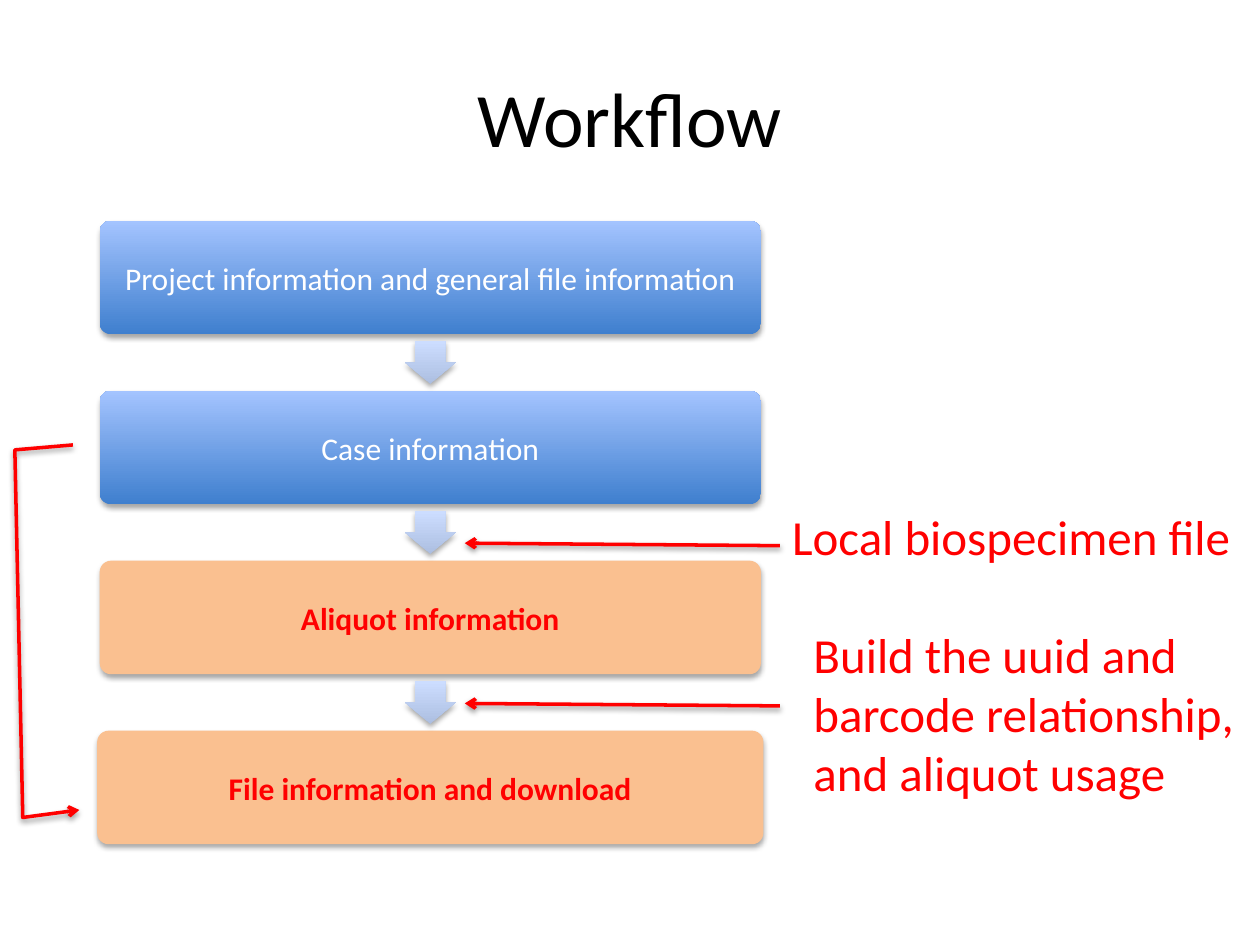
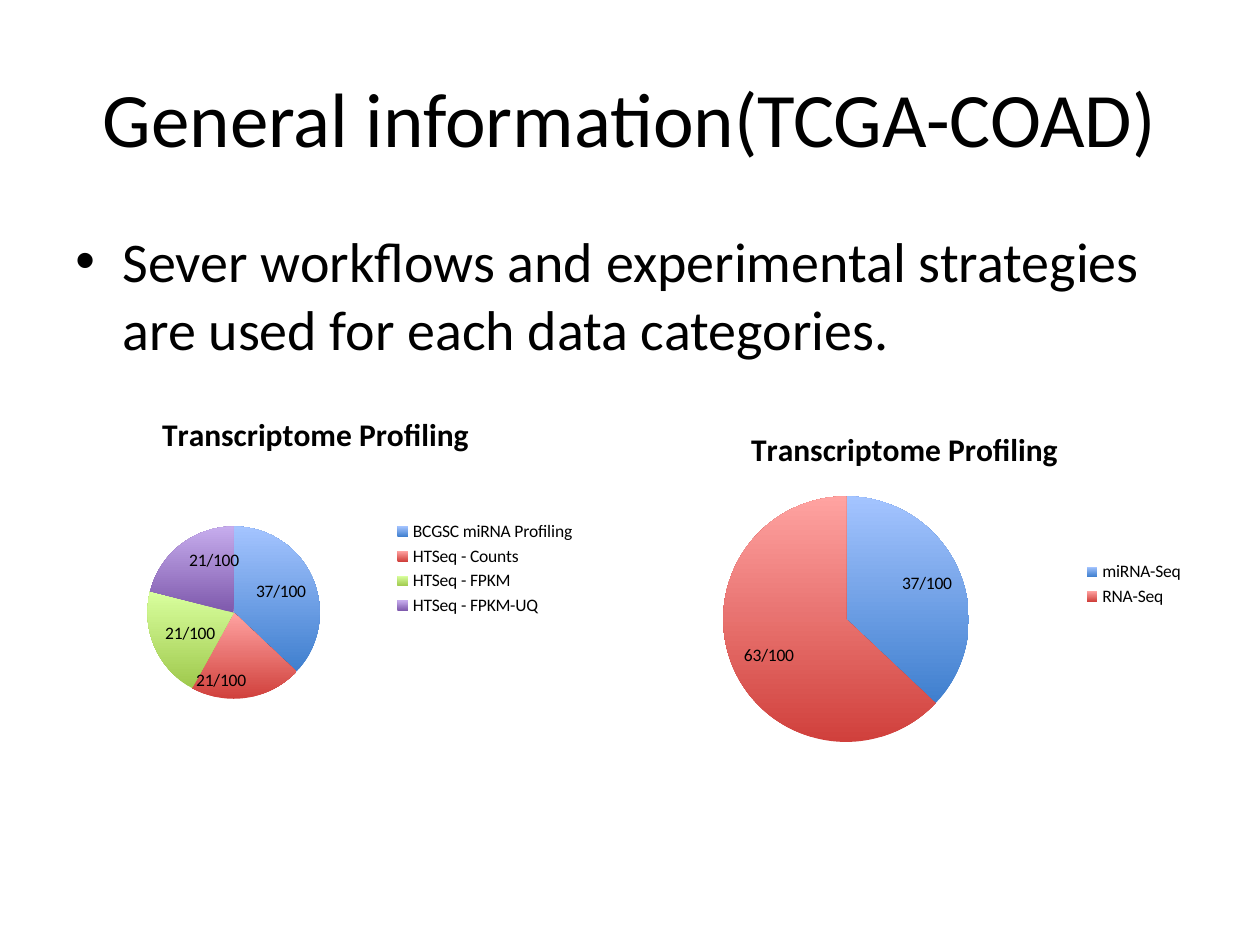
from lxml import etree
from pptx import Presentation
from pptx.chart.data import CategoryChartData
from pptx.dml.color import RGBColor
from pptx.enum.chart import XL_CHART_TYPE, XL_LABEL_POSITION, XL_LEGEND_POSITION
from pptx.enum.shapes import MSO_CONNECTOR, MSO_SHAPE
from pptx.enum.text import MSO_ANCHOR, PP_ALIGN
from pptx.oxml.ns import qn
from pptx.util import Cm, Pt

ROUND_RECT, DOWN_ARROW = MSO_SHAPE.ROUNDED_RECTANGLE, MSO_SHAPE.DOWN_ARROW
STRAIGHT = MSO_CONNECTOR.STRAIGHT
CENTER, LEFT = PP_ALIGN.CENTER, PP_ALIGN.LEFT
MIDDLE, TOP = MSO_ANCHOR.MIDDLE, MSO_ANCHOR.TOP
PIE, INSIDE_END = XL_CHART_TYPE.PIE, XL_LABEL_POSITION.INSIDE_END
LEGEND_RIGHT = XL_LEGEND_POSITION.RIGHT

FONT = "Calibri"
BLACK, WHITE, RED, PEACH = "000000", "FFFFFF", "FF0000", "FAC090"
# Gradients run from the bottom colour to the top colour
BLUE_GRADIENT = ("3F7FCE", "A4C4FF")
PALE_GRADIENT = ("ADBFE1", "CCDDFF")
SLICE_GRADIENTS = [BLUE_GRADIENT, ("D0403C", "FFA3A1"),
                   ("9FC94D", "D9FF9E"), ("7E59AC", "C6ACED")]

TITLE_BOX = (1.27, 0.76, 22.86, 3.18)
BODY_BOX = (1.27, 4.45, 22.86, 12.57)


def rgb(value):
    return RGBColor.from_string(value)


def set_font(font, size, color=BLACK, bold=False):
    values = {"name": FONT, "size": Pt(size), "bold": bold}
    for name, value in values.items():
        setattr(font, name, value)
    font.color.rgb = rgb(color)


def set_fill(fill, color):
    """Fill with one hex colour, or with a (bottom, top) gradient."""
    if isinstance(color, str):
        fill.solid()
        fill.fore_color.rgb = rgb(color)
        return
    fill.gradient()
    fill.gradient_angle = 90
    for stop, stop_color in zip(fill.gradient_stops, color):
        stop.color.rgb = rgb(stop_color)


def add_shadow(shape, alpha=35):
    effects = etree.SubElement(shape._element.spPr, qn("a:effectLst"))
    shadow = etree.SubElement(effects, qn("a:outerShdw"), blurRad="40000",
                              dist="22000", dir="5400000", rotWithShape="0")
    color = etree.SubElement(shadow, qn("a:srgbClr"), val=BLACK)
    etree.SubElement(color, qn("a:alpha"), val=str(alpha * 1000))


def write(shape, text, size, color=BLACK, bold=False, align=LEFT,
          anchor=TOP, wrap=True, bullet=False):
    tf = shape.text_frame
    tf.word_wrap = wrap
    tf.vertical_anchor = anchor
    p = tf.paragraphs[0]
    p.alignment = align
    if bullet:
        pPr = p._p.get_or_add_pPr()
        pPr.set("marL", str(Cm(0.95)))
        pPr.set("indent", str(Cm(-0.95)))
        etree.SubElement(pPr, qn("a:buFont"), typeface="Arial")
        etree.SubElement(pPr, qn("a:buChar"), char="•")
    r = p.add_run()
    r.text = text
    set_font(r.font, size, color, bold)


def add_text(s, box, text, size, **format_values):
    write(s.shapes.add_textbox(*map(Cm, box)), text, size, **format_values)


def add_slide(prs, title):
    s = prs.slides.add_slide(prs.slide_layouts[6])
    add_text(s, TITLE_BOX, title, 44, align=CENTER, anchor=MIDDLE)
    return s


def add_block(s, kind, box, color, adjustments):
    sp = s.shapes.add_shape(kind, *map(Cm, box))
    for i, value in enumerate(adjustments):
        sp.adjustments[i] = value
    set_fill(sp.fill, color)
    sp.line.fill.background()
    add_shadow(sp)
    return sp


def style_red_arrow(line_shape):
    line = line_shape.line
    line.color.rgb = rgb(RED)
    line.width = Pt(2)
    etree.SubElement(line_shape._element.spPr.find(qn("a:ln")),
                     qn("a:tailEnd"), type="arrow")
    add_shadow(line_shape, 38)


def add_flow(s, box, steps):
    """Stack the steps down the box, with an arrow in each gap."""
    left, top, width, height = box
    step_h, arrow_w, arrow_h = 2.29, 1.02, 0.86
    pitch = (height - step_h) / (len(steps) - 1)
    center = left + width / 2
    for i, (text, color, text_color, bold, extra) in enumerate(steps):
        y = top + i * pitch
        sp = add_block(s, ROUND_RECT,
                       (left - extra / 2, y, width + extra, step_h), color, [0.1])
        write(sp, text, 18, color=text_color, bold=bold, align=CENTER,
              anchor=MIDDLE)
        if i:
            gap_middle = y - (pitch - step_h) / 2
            add_block(s, DOWN_ARROW,
                      (center - arrow_w / 2, gap_middle - arrow_h / 2,
                       arrow_w, arrow_h), PALE_GRADIENT, [0.6, 0.5])


def add_note_arrow(s, x_from, x_to, y):
    line = s.shapes.add_connector(STRAIGHT, Cm(x_from), Cm(y),
                                  Cm(x_to), Cm(y - 0.05))
    style_red_arrow(line)


def add_bypass(s, box):
    """Arrow from the second step round the left side to the last one."""
    left, top, width, height = box
    start, *rest = [(Cm(left + dx), Cm(top + dy)) for dx, dy in
                    [(width - 0.13, 0), (0, 0.1), (0.16, height),
                     (width, height - 0.15)]]
    builder = s.shapes.build_freeform(*start)
    builder.add_line_segments(rest, close=False)
    sp = builder.convert_to_shape()
    sp.fill.background()
    style_red_arrow(sp)


def set_plot_layout(chart, layout):
    """Place the pie by its x, y, w and h as shares of the chart."""
    plot_area = chart._chartSpace.chart.plotArea
    for old in plot_area.findall(qn("c:layout")):
        plot_area.remove(old)
    layout_el = etree.Element(qn("c:layout"))
    plot_area.insert(0, layout_el)
    manual = etree.SubElement(layout_el, qn("c:manualLayout"))
    settings = {"layoutTarget": "inner", "xMode": "edge", "yMode": "edge",
                **dict(zip("xywh", layout))}
    for name, value in settings.items():
        etree.SubElement(manual, qn("c:" + name), val=str(value))


def add_pie(s, box, title, shares, layout):
    data = CategoryChartData()
    data.categories = list(shares)
    data.add_series(title, list(shares.values()))
    chart = s.shapes.add_chart(PIE, *map(Cm, box), data).chart
    set_font(chart.font, 10)
    chart.has_title = True
    chart.chart_title.include_in_layout = False
    tf = chart.chart_title.text_frame
    tf.text = title
    set_font(tf.paragraphs[0].runs[0].font, 18, bold=True)
    chart.has_legend = True
    chart.legend.position = LEGEND_RIGHT
    chart.legend.include_in_layout = False
    set_plot_layout(chart, layout)

    plot = chart.plots[0]
    plot.vary_by_categories = True
    plot.has_data_labels = True
    labels = plot.data_labels
    label_values = {"show_value": True, "show_percentage": False,
                    "number_format": r"#\ ??/100",
                    "number_format_is_linked": False, "position": INSIDE_END}
    for name, value in label_values.items():
        setattr(labels, name, value)
    set_font(labels.font, 10)
    for i, gradient in enumerate(SLICE_GRADIENTS[:len(shares)]):
        point = plot.series[0].points[i]
        set_fill(point.format.fill, gradient)
        point.format.line.fill.background()


def workflow_slide(prs):
    s = add_slide(prs, "Workflow")
    done, changed = (BLUE_GRADIENT, WHITE, False), (PEACH, RED, True)
    add_flow(s, (2.01, 4.45, 13.33, 12.57), [
        ("Project information and general file information", *done, 0),
        ("Case information", *done, 0),
        ("Aliquot information", *changed, 0),
        ("File information and download", *changed, 0.1),
    ])
    add_text(s, (15.72, 10.08, 9.68, 1.45), "Local biospecimen file", 28,
             color=RED, wrap=False)
    add_text(s, (16.15, 12.47, 9.25, 3.84),
             "Build the uuid and barcode relationship, and aliquot usage", 28,
             color=RED)
    for y in (11, 14.23):
        add_note_arrow(s, 15.72, 9.37, y)
    add_bypass(s, (0.3, 8.97, 1.3, 7.51))


def general_information_slide(prs):
    s = add_slide(prs, "General information(TCGA-COAD)")
    add_text(s, BODY_BOX, "Sever workflows and experimental strategies are "
             "used for each data categories.", 32, bullet=True)
    add_pie(s, (0.86, 7.92, 11, 7.09), "Transcriptome Profiling",
            {"BCGSC miRNA Profiling": 0.37, "HTSeq - Counts": 0.21,
             "HTSeq - FPKM": 0.21, "HTSeq - FPKM-UQ": 0.21},
            (0.19, 0.38, 0.32, 0.49))
    add_pie(s, (12.34, 8.23, 11.79, 7.09), "Transcriptome Profiling",
            {"miRNA-Seq": 0.37, "RNA-Seq": 0.63},
            (0.19, 0.25, 0.42, 0.7))


def main():
    prs = Presentation()
    prs.slide_width, prs.slide_height = Cm(25.4), Cm(19.05)
    workflow_slide(prs)
    general_information_slide(prs)
    prs.save("out.pptx")


if __name__ == "__main__":
    main()
